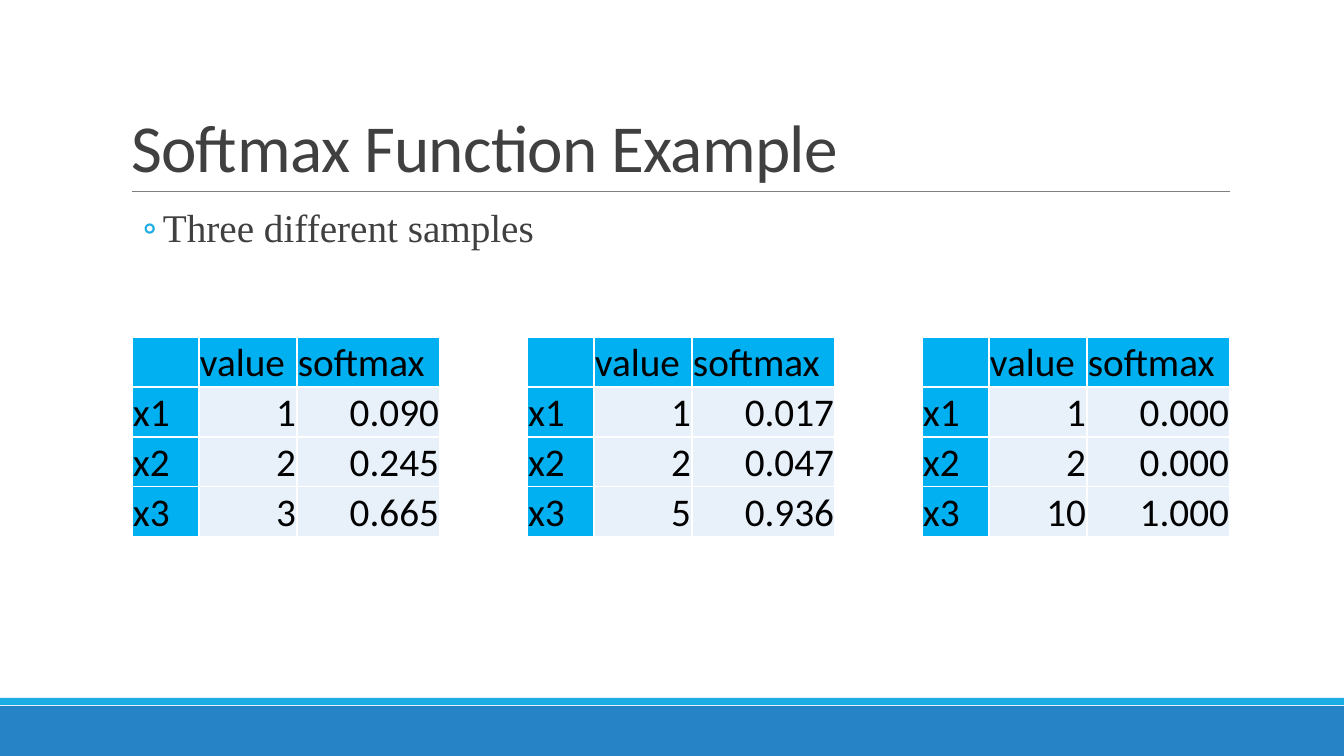
from lxml.etree import SubElement
from pptx import Presentation
from pptx.dml.color import RGBColor
from pptx.enum.shapes import MSO_CONNECTOR, MSO_SHAPE
from pptx.enum.text import MSO_ANCHOR, MSO_AUTO_SIZE, PP_ALIGN
from pptx.oxml.ns import qn
from pptx.util import Emu, Pt

EMU_PER_PIXEL = 914400 / 100.8
SLIDE_WIDTH, SLIDE_HEIGHT = 1344, 756

INK, BLACK, WHITE = "404040", "000000", "FFFFFF"
RULE_GRAY, CYAN, BLUE = "808080", "1CADE4", "2683C6"
HEADING_FILL, VALUE_FILL = "00B0F0", "E8F1FA"

COLUMN_WIDTHS = (67, 98, 143)
ROW_HEIGHT = 50
HEADINGS = ("", "value", "softmax")
SAMPLES = (
    (("1", "0.090"), ("2", "0.245"), ("3", "0.665")),
    (("1", "0.017"), ("2", "0.047"), ("5", "0.936")),
    (("1", "0.000"), ("2", "0.000"), ("10", "1.000")),
)


def px(length):
    """Turn pixels into EMU."""
    return Emu(round(length * EMU_PER_PIXEL))


def color(code):
    """Turn a hex string into a colour."""
    return RGBColor.from_string(code)


def place(part, box):
    """Move a part to a box of left, top, width and height."""
    part.left, part.top, part.width, part.height = map(px, box)


def write(frame, text, size=28, font="Calibri", ink=BLACK, align=PP_ALIGN.LEFT,
          line_spacing=1.0, before=0, after=0, tracking=None):
    """Write one formatted paragraph and return it."""
    paragraph = frame.paragraphs[0]
    paragraph.alignment = align
    paragraph.line_spacing = line_spacing
    paragraph.space_before, paragraph.space_after = Pt(before), Pt(after)
    run = paragraph.add_run()
    run.text = text
    run.font.size, run.font.name, run.font.bold = Pt(size), font, False
    run.font.color.rgb = color(ink)
    if tracking is not None:
        run.font._element.set("spc", str(round(tracking * 100)))
    return paragraph


def add_bullet(paragraph, character, ink, margin, indent):
    """Give a paragraph a coloured bullet with a hanging indent."""
    properties = paragraph._p.get_or_add_pPr()
    properties.set("marL", str(px(margin)))
    properties.set("indent", str(px(indent)))
    bullet_color = SubElement(properties, qn("a:buClr"))
    SubElement(bullet_color, qn("a:srgbClr"), val=ink)
    SubElement(properties, qn("a:buFont"), typeface="Calibri")
    SubElement(properties, qn("a:buChar"), char=character)


def add_band(slide, box, fill):
    """Draw a plain band."""
    band = slide.shapes.add_shape(MSO_SHAPE.RECTANGLE, *map(px, box))
    band.shadow.inherit = False
    band.fill.solid()
    band.fill.fore_color.rgb = color(fill)
    band.line.fill.background()


def add_footer(slide, box):
    """Draw the thin cyan band over the blue one."""
    left, top, width, height = box
    add_band(slide, (left, top + 8, width, height - 8), BLUE)
    add_band(slide, (left, top, width, 7), CYAN)


def add_title(slide, box):
    """Fill the title and draw the rule below it."""
    left, top, width, height = box
    title = slide.shapes.title
    place(title, box)
    frame = title.text_frame
    frame.vertical_anchor = MSO_ANCHOR.BOTTOM
    frame.auto_size = MSO_AUTO_SIZE.NONE
    write(frame, "Softmax Function Example", size=48, ink=INK,
          line_spacing=0.85, tracking=-0.5)
    rule_y = px(top + height)
    rule = slide.shapes.add_connector(
        MSO_CONNECTOR.STRAIGHT, px(left + 11), rule_y, px(left + width), rule_y)
    rule.line.color.rgb = color(RULE_GRAY)
    rule.line.width = Pt(0.5)
    SubElement(rule._element.spPr, qn("a:effectLst"))


def add_body(slide, box):
    """Fill the body with its single bullet."""
    body = slide.placeholders[1]
    place(body, box)
    frame = body.text_frame
    frame.auto_size = MSO_AUTO_SIZE.NONE
    frame.vertical_anchor = MSO_ANCHOR.TOP
    frame.margin_left = frame.margin_right = 0
    frame.margin_top = frame.margin_bottom = px(5)
    point = write(frame, "Three different samples", font="Times New Roman",
                  ink=INK, line_spacing=0.9, before=2, after=4)
    point.level = 1
    add_bullet(point, "\u25e6", CYAN, margin=42, indent=-20)


def format_cell(cell, text, fill, align):
    """Set the borders, fill, insets and text of a cell."""
    properties = cell._tc.get_or_add_tcPr()
    for side in ("lnL", "lnR", "lnT", "lnB"):
        border = SubElement(properties, qn(f"a:{side}"), w=str(Pt(1)))
        border_fill = SubElement(border, qn("a:solidFill"))
        SubElement(border_fill, qn("a:srgbClr"), val=WHITE)
    cell.fill.solid()
    cell.fill.fore_color.rgb = color(fill)
    cell.margin_left = cell.margin_right = cell.margin_top = px(1)
    cell.margin_bottom = 0
    cell.vertical_anchor = MSO_ANCHOR.BOTTOM
    if text:
        write(cell.text_frame, text, align=align)


def add_sample(slide, box, sample):
    """Build the table of one sample."""
    rows = [HEADINGS] + [(f"x{number}", *values)
                         for number, values in enumerate(sample, 1)]
    table = slide.shapes.add_table(len(rows), len(HEADINGS), *map(px, box)).table
    table.first_row = table.horz_banding = False
    for column, width in zip(table.columns, COLUMN_WIDTHS):
        column.width = px(width)
    for row_index, row in enumerate(rows):
        table.rows[row_index].height = px(ROW_HEIGHT)
        for column_index, text in enumerate(row):
            is_value = row_index > 0 and column_index > 0
            format_cell(table.cell(row_index, column_index), text,
                        VALUE_FILL if is_value else HEADING_FILL,
                        PP_ALIGN.RIGHT if is_value else PP_ALIGN.LEFT)


def add_samples(slide, box):
    """Spread the sample tables evenly over a box."""
    left, top, width, height = box
    sample_width = sum(COLUMN_WIDTHS)
    pitch = (width - sample_width) // (len(SAMPLES) - 1)
    for index, sample in enumerate(SAMPLES):
        add_sample(slide, (left + index * pitch, top, sample_width, height), sample)


def build():
    """Build and save the slide."""
    deck = Presentation()
    deck.slide_width, deck.slide_height = px(SLIDE_WIDTH), px(SLIDE_HEIGHT)
    slide = deck.slides.add_slide(deck.slide_layouts[1])
    add_footer(slide, (0, 698, SLIDE_WIDTH, 58))
    add_title(slide, (121, 31, 1109, 160))
    add_body(slide, (121, 204, 1060, 458))
    add_samples(slide, (132, 337, 1098, ROW_HEIGHT * 4))
    deck.save("out.pptx")


build()
